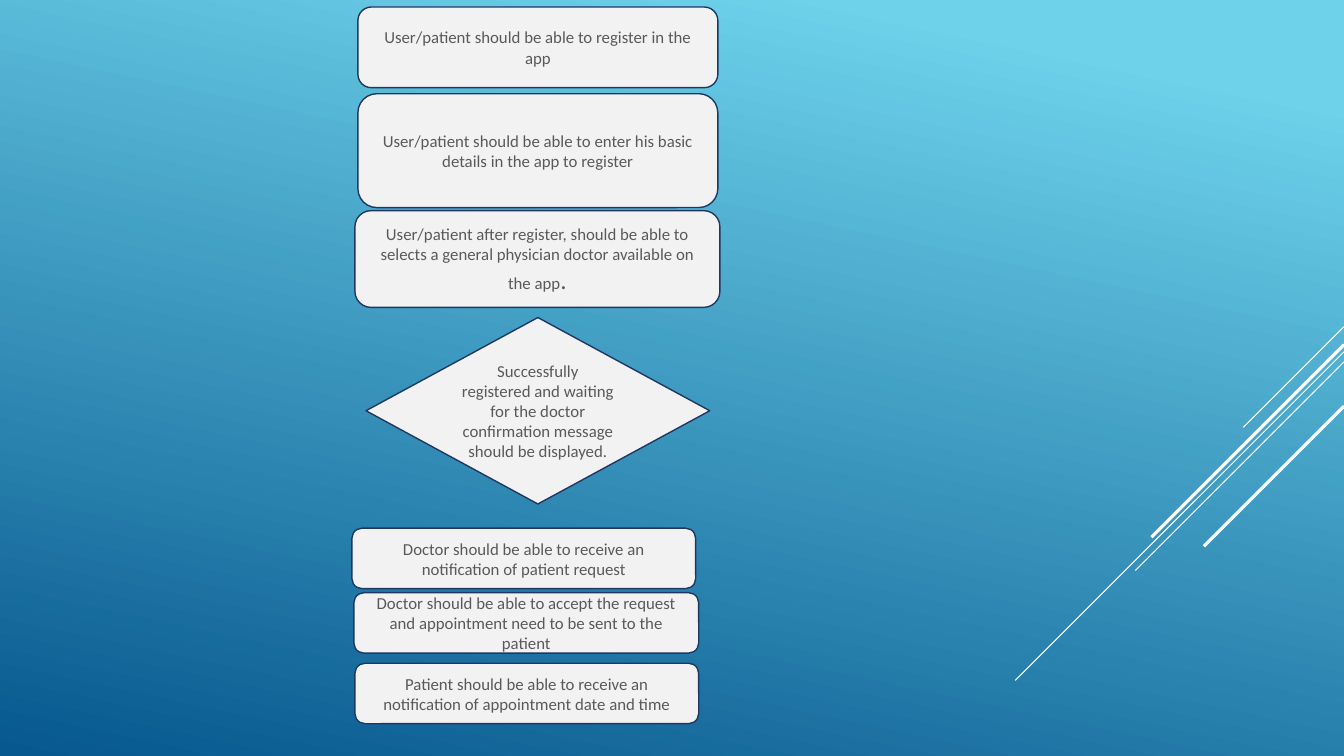
import pptx
import pptx.util
import pptx.dml.color
import pptx.enum.shapes
import pptx.enum.text
import pptx.oxml.ns
import lxml.etree

Inches = pptx.util.Inches
Pt = pptx.util.Pt
RGB = pptx.dml.color.RGBColor
KIND = pptx.enum.shapes.MSO_SHAPE
SKY, DEEP = RGB(0x6E, 0xD2, 0xEB), RGB(0x06, 0x58, 0x8E)
WHITE = RGB(0xFF, 0xFF, 0xFF)
PALE, NAVY, GREY = RGB(0xF2, 0xF2, 0xF2), RGB(0x1F, 0x37, 0x63), RGB(0x59, 0x59, 0x59)
WIDE, HIGH = 13.33, 7.5

FONT = {"name": "Calibri", "size": Pt(12)}
FRAME = {"word_wrap": True, "vertical_anchor": pptx.enum.text.MSO_ANCHOR.MIDDLE}

# Steps: kind, left, top, width, height, runs as (text, format)
ROUND, GEM = KIND.ROUNDED_RECTANGLE, KIND.DIAMOND
STEPS = [
    (ROUND, 0.06, 0, 3.57, 0.8,
     [("User/patient should be able to register in the app", {})]),
    (ROUND, 0.06, 0.86, 3.57, 1.13,
     [("User/patient should be able to enter his basic details in the app to register", {})]),
    (ROUND, 0.03, 2.02, 3.62, 0.96,
     [("User/patient after register, should be able to selects a general "
       "physician doctor available on the app", {}), (".", {"size": Pt(18)})]),
    (GEM, 0.14, 3.08, 3.41, 1.85,
     [("Successfully registered and waiting for the doctor confirmation "
       "message should be displayed.", {})]),
    (ROUND, 0, 5.17, 3.41, 0.6,
     [("Doctor should be able to receive an notification of patient request", {})]),
    (ROUND, 0.02, 5.81, 3.42, 0.6,
     [("Doctor should be able to accept the request and appointment need "
       "to be sent to the patient", {})]),
    (ROUND, 0.03, 6.51, 3.41, 0.6,
     [("Patient should be able to receive an notification of appointment "
       "date and time", {})]),
]

# Diagonal rays: top, run to the left (same as the drop), weight
RAYS = [(0, 1, 0.75), (0.25, 3.26, 0.75), (0.35, 2.07, 0.75),
        (0.18, 1.91, 2.25), (0.79, 1.39, 2.25)]


def style(item, form):
    for key, value in form.items():
        setattr(item, key, value)


def paint(slide):
    fill = slide.background.fill
    fill.gradient()
    fill.gradient_angle = 258
    for stop, place, color in zip(fill.gradient_stops, (0.1, 1), (SKY, DEEP)):
        style(stop, {"position": place})
        stop.color.rgb = color


def draw_rays(slide, right, top):
    for drop, run, weight in RAYS:
        y = top + drop
        ray = slide.shapes.add_connector(
            pptx.enum.shapes.MSO_CONNECTOR.STRAIGHT,
            Inches(right), Inches(y), Inches(right - run), Inches(y + run))
        ray.line.color.rgb = WHITE
        ray.line.width = Pt(weight)
        lxml.etree.SubElement(ray._element.spPr, pptx.oxml.ns.qn("a:effectLst"))


def draw_step(slide, kind, left, top, width, height, runs):
    box = slide.shapes.add_shape(
        kind, Inches(left), Inches(top), Inches(width), Inches(height))
    box.shadow.inherit = False
    box.fill.solid()
    box.fill.fore_color.rgb = PALE
    box.line.color.rgb = NAVY
    box.line.width = Pt(1)
    style(box.text_frame, FRAME)
    para = box.text_frame.paragraphs[0]
    para.alignment = pptx.enum.text.PP_ALIGN.CENTER
    for text, extra in runs:
        run = para.add_run()
        run.text = text
        style(run.font, {**FONT, **extra})
        run.font.color.rgb = GREY


def draw_flow(slide, left, top):
    for kind, x, y, width, height, runs in STEPS:
        draw_step(slide, kind, left + x, top + y, width, height, runs)


deck = pptx.Presentation()
style(deck, {"slide_width": Inches(WIDE), "slide_height": Inches(HIGH)})
slide = deck.slides.add_slide(deck.slide_layouts[6])
paint(slide)
draw_rays(slide, WIDE, 3.24)
draw_flow(slide, 3.49, 0.07)
deck.save("out.pptx")
